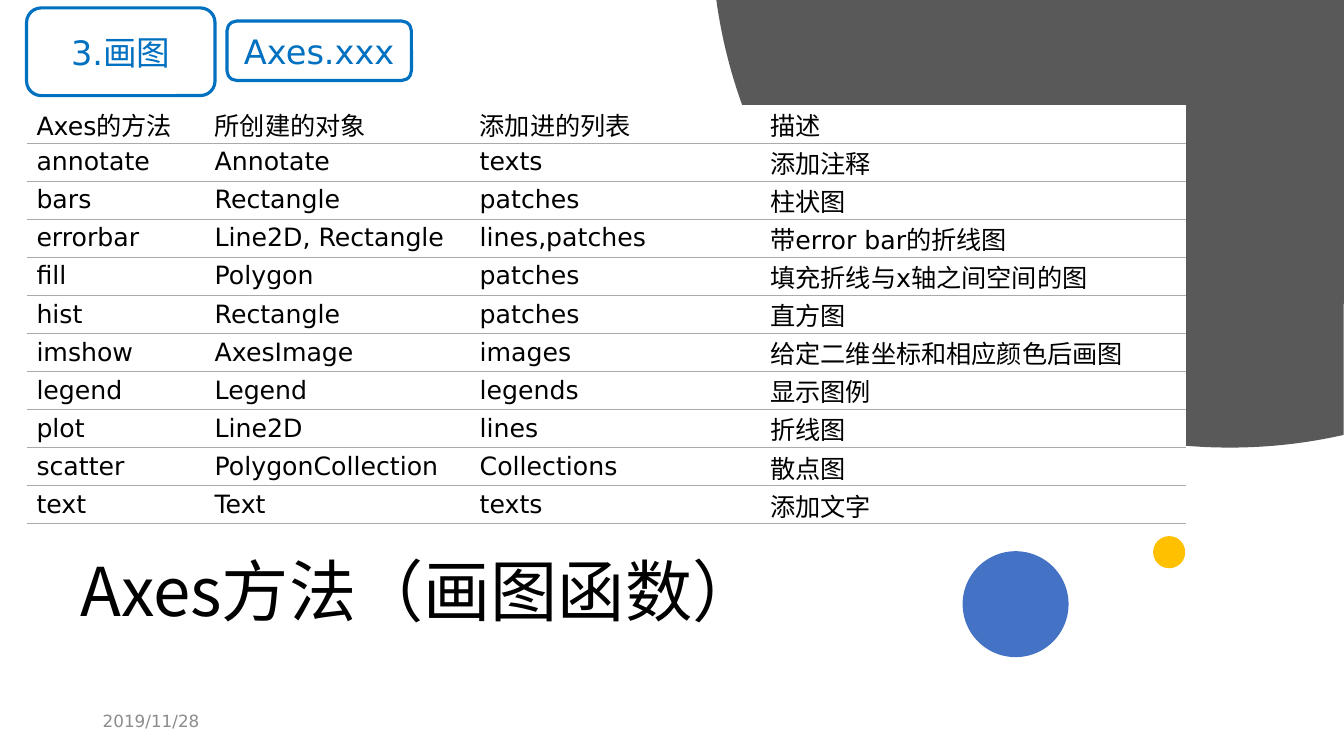
from math import cos, radians, sin

from lxml.etree import SubElement, fromstring
from pptx import Presentation
from pptx.dml.color import RGBColor
from pptx.enum.shapes import MSO_SHAPE
from pptx.enum.text import MSO_ANCHOR, PP_ALIGN
from pptx.oxml.ns import qn
from pptx.util import Cm, Pt

COLORS = {
    "white": "FFFFFF", "black": "000000", "dark": "595959", "blue": "4472C4",
    "gold": "FFC000", "label": "0070C0", "date": "8C8C8C", "rule": "AAAAAA",
}
SANS, CJK = "DejaVu Sans", "Noto Sans CJK SC"
NO_STYLE = "{2D5ABB26-0587-4C30-8999-92F81FD0307C}"
NS = "http://schemas.openxmlformats.org/drawingml/2006/main"

COLUMNS = [4.49, 6.68, 7.32, 10.72]
ROWS = [
    ("Axes的方法", "所创建的对象", "添加进的列表", "描述"),
    ("annotate", "Annotate", "texts", "添加注释"),
    ("bars", "Rectangle", "patches", "柱状图"),
    ("errorbar", "Line2D, Rectangle", "lines,patches", "带error bar的折线图"),
    ("fill", "Polygon", "patches", "填充折线与x轴之间空间的图"),
    ("hist", "Rectangle", "patches", "直方图"),
    ("imshow", "AxesImage", "images", "给定二维坐标和相应颜色后画图"),
    ("legend", "Legend", "legends", "显示图例"),
    ("plot", "Line2D", "lines", "折线图"),
    ("scatter", "PolygonCollection", "Collections", "散点图"),
    ("text", "Text", "texts", "添加文字"),
]


class SlideBuilder:
    """Holds the style and the current slide, and draws its elements."""

    def __init__(self, slide):
        self.slide = slide
        self.shapes = slide.shapes

    def color(self, name):
        return RGBColor.from_string(COLORS[name])

    def paint(self, sp, fill, line=None):
        sp.shadow.inherit = False
        sp.fill.solid()
        sp.fill.fore_color.rgb = self.color(fill)
        if line:
            sp.line.color.rgb = self.color(line)
            sp.line.width = Pt(2.25)
        else:
            sp.line.fill.background()

    def add_words(self, tf, text, size, color, font=SANS, **paragraph):
        p = tf.paragraphs[0]
        for name, value in paragraph.items():
            setattr(p, name, value)
        r = p.add_run()
        r.text = text
        for name, value in {"size": Pt(size), "name": font}.items():
            setattr(r.font, name, value)
        r.font.color.rgb = self.color(color)
        SubElement(r._r.get_or_add_rPr(), qn("a:ea")).set("typeface", CJK)

    def text(self, box, text, size, color, font=SANS, **paragraph):
        tf = self.shapes.add_textbox(*map(Cm, box)).text_frame
        tf.word_wrap = True
        tf.vertical_anchor = MSO_ANCHOR.MIDDLE
        self.add_words(tf, text, size, color, font, **paragraph)

    def circle(self, left, top, size, fill):
        sp = self.shapes.add_shape(MSO_SHAPE.OVAL, *map(Cm, (left, top, size, size)))
        self.paint(sp, fill)

    def label(self, box, text):
        sp = self.shapes.add_shape(MSO_SHAPE.ROUNDED_RECTANGLE, *map(Cm, box))
        self.paint(sp, "white", "label")
        sp.text_frame.vertical_anchor = MSO_ANCHOR.MIDDLE
        self.add_words(sp.text_frame, text, 24, "label", alignment=PP_ALIGN.CENTER)

    def corner(self, cx, cy, radius, start, end, right, fill):
        steps = 120
        angles = [radians(start + (end - start) * i / steps) for i in range(steps + 1)]
        arc = [(Cm(cx + radius * cos(a)), Cm(cy + radius * sin(a))) for a in angles]
        fb = self.shapes.build_freeform(Cm(right), 0)
        fb.add_line_segments(arc + [(arc[-1][0], 0)], close=True)
        self.paint(fb.convert_to_shape(), fill)

    def border(self, cell, sides):
        for i, side in enumerate(sides):
            cell._tc.get_or_add_tcPr().insert(i, fromstring(
                f'<a:{side} xmlns:a="{NS}" w="7620"><a:solidFill>'
                f'<a:srgbClr val="{COLORS["rule"]}"/></a:solidFill></a:{side}>'))

    def table(self, left, top, columns, row_height, rows):
        frame = self.shapes.add_table(
            len(rows), len(columns), Cm(left), Cm(top),
            Cm(sum(columns)), Cm(row_height * len(rows)))
        table = frame.table
        table.first_row = table.horz_banding = False
        table._tbl.tblPr.find(qn("a:tableStyleId")).text = NO_STYLE
        for column, width in zip(table.columns, columns):
            column.width = Cm(width)
        layout = {
            "margin_left": Cm(0.25), "margin_right": Cm(0.18),
            "margin_top": Cm(0.03), "margin_bottom": Cm(0.03),
            "vertical_anchor": MSO_ANCHOR.MIDDLE,
        }
        for i, row in enumerate(rows):
            table.rows[i].height = Cm(row_height)
            for j, text in enumerate(row):
                cell = table.cell(i, j)
                for name, value in layout.items():
                    setattr(cell, name, value)
                cell.fill.solid()
                cell.fill.fore_color.rgb = self.color("white")
                self.border(cell, ("lnT", "lnB") if i else ("lnB",))
                self.add_words(cell.text_frame, text, 18, "black")


def main():
    prs = Presentation()
    prs.slide_width, prs.slide_height = Cm(33.87), Cm(19.05)
    s = SlideBuilder(prs.slides.add_slide(prs.slide_layouts[6]))
    s.text((1.78, 12.57, 20.57, 4.83), "Axes方法（画图函数）", 48, "black", CJK,
           line_spacing=0.9)
    s.corner(30.99, -1.78, 13.06, 77.3, 172.2, 33.87, "dark")
    s.circle(24.26, 13.89, 2.67, "blue")
    s.circle(29.06, 13.51, 0.81, "gold")
    s.text((2.34, 17.65, 7.62, 1.02), "2019/11/28", 12, "date")
    s.table(0.67, 2.64, COLUMNS, 0.96, ROWS)
    s.label((5.72, 0.53, 4.65, 1.5), "Axes.xxx")
    s.label((0.67, 0.2, 4.75, 2.21), "3.画图")
    prs.save("out.pptx")


if __name__ == "__main__":
    main()
